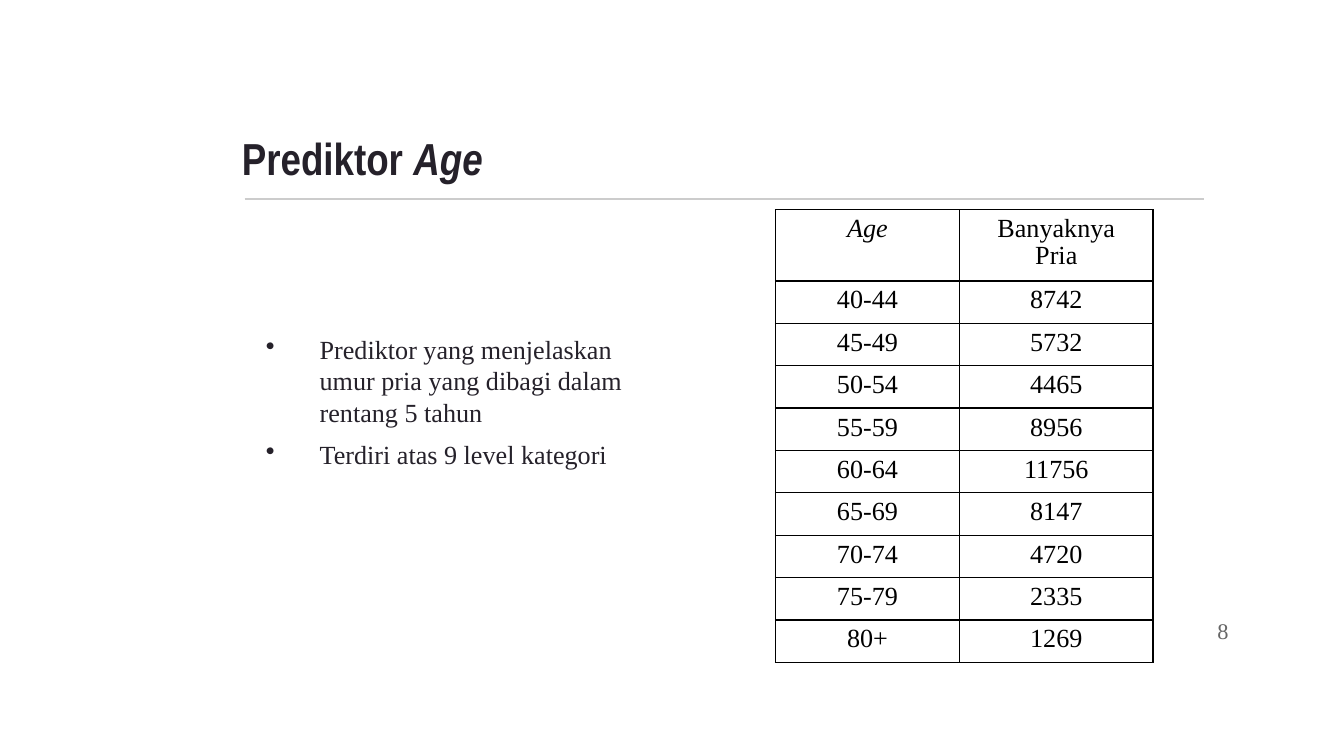
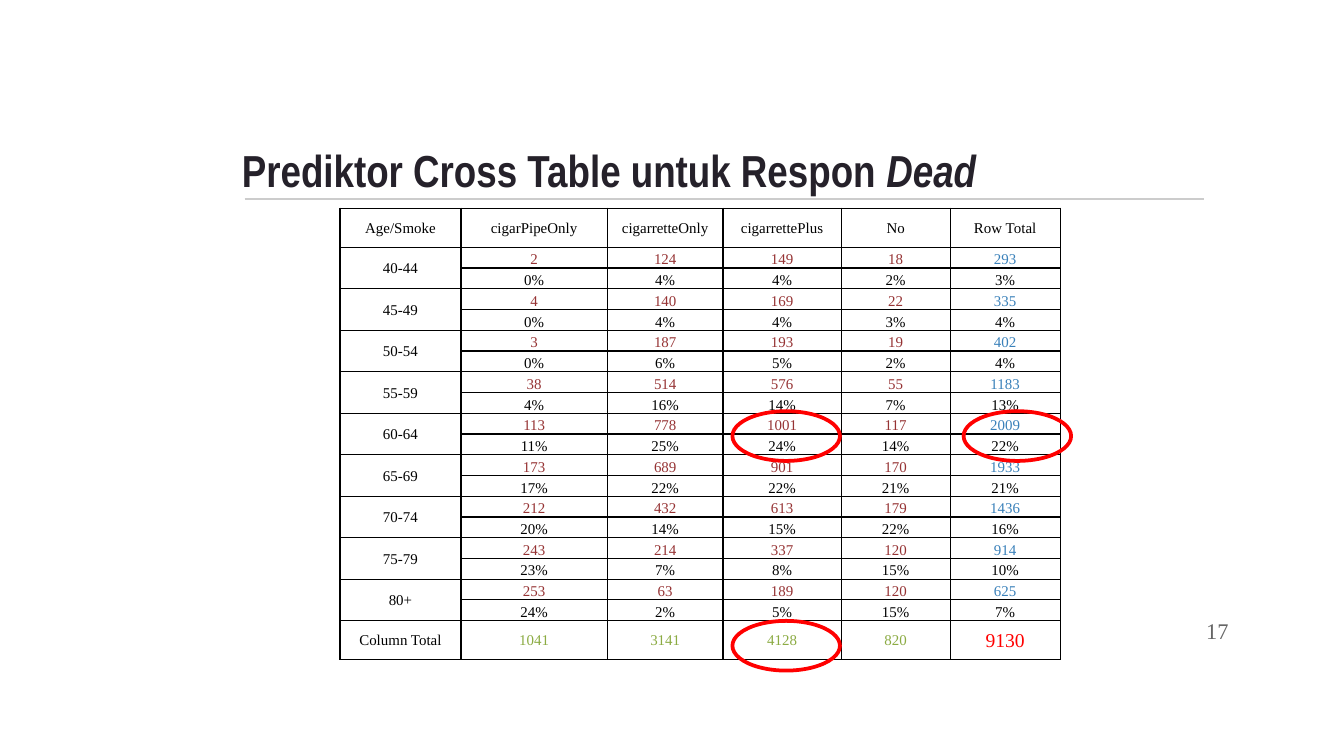
from lxml import etree
from pptx import Presentation
from pptx.dml.color import RGBColor as RGB
from pptx.enum.shapes import MSO_CONNECTOR as CONN, MSO_SHAPE as SHAPE
from pptx.enum.text import MSO_ANCHOR as ANCHOR, MSO_AUTO_SIZE as AUTO, PP_ALIGN as ALIGN
from pptx.oxml import parse_xml
from pptx.oxml.ns import nsdecls, qn
from pptx.util import Inches, Pt

COLORS = {
    "ink": "25212A", "rule": "CCCCCC", "number": "666666", "black": "000000",
    "count": "963334", "row_total": "3A81BA", "column_total": "8BAB42", "red": "FF0000",
}
HEAD_FONT, BODY_FONT = "Arial Narrow", "Times New Roman"


def write(tf, paragraphs, size=14, color="ink", font=BODY_FONT, bold=False,
          align=ALIGN.LEFT, bullet=False, space=0, line=None):
    """Fill a text frame; each paragraph is a list of (text, italic) runs."""
    tf.word_wrap = True
    for i, runs in enumerate(paragraphs):
        p = tf.paragraphs[0] if i == 0 else tf.add_paragraph()
        p.alignment = align
        p.space_before = Pt(space if i else 0)
        if line:
            p.line_spacing = line
        if bullet:
            pPr = p._p.get_or_add_pPr()
            pPr.set("marL", str(Inches(0.5)))
            pPr.set("indent", str(Inches(-0.4)))
            clr = etree.SubElement(pPr, qn("a:buClr"))
            etree.SubElement(clr, qn("a:srgbClr"), val=COLORS[color])
            etree.SubElement(pPr, qn("a:buChar"), char="•")
        for text, italic in runs:
            r = p.add_run()
            r.text = text
            r.font.name, r.font.size = font, Pt(size)
            r.font.bold, r.font.italic = bold, italic
            r.font.color.rgb = RGB.from_string(COLORS[color])


def add_grid(s, left, top, widths, heights):
    """Add an unfilled table with thin black borders."""
    frame = s.shapes.add_table(len(heights), len(widths), Inches(left), Inches(top),
                               Inches(sum(widths)), Inches(sum(heights)))
    table = frame.table
    table.first_row = table.horz_banding = False
    for col, width in zip(table.columns, widths):
        col.width = Inches(width)
    for row, height in zip(table.rows, heights):
        row.height = Inches(height)
    for cell in table.iter_cells():
        tcPr = cell._tc.get_or_add_tcPr()
        for side in ("lnL", "lnR", "lnT", "lnB"):
            tcPr.append(parse_xml(
                f'<a:{side} {nsdecls("a")} w="{Pt(0.75)}"><a:solidFill>'
                f'<a:srgbClr val="{COLORS["black"]}"/></a:solidFill></a:{side}>'))
        cell.fill.background()
    return table


# Widescreen page, 16:9
prs = Presentation()
prs.slide_width = Inches(10)
prs.slide_height = prs.slide_width * 9 // 16

# Shared frame: title, rule and slide number
pages = [
    ("Prediktor ", "Age", 0.68, "8"),
    ("Prediktor Cross Table untuk Respon ", "Dead", 0.77, "17"),
]
slides = []
for title, emphasis, height, number in pages:
    s = prs.slides.add_slide(prs.slide_layouts[5])
    slides.append(s)
    rule = s.shapes.add_connector(CONN.STRAIGHT, Inches(1.82), Inches(1.48),
                                  Inches(8.96), Inches(1.48))
    rule.line.color.rgb = RGB.from_string(COLORS["rule"])
    rule.line.width = Pt(0.75)
    etree.SubElement(rule._element.spPr, qn("a:effectLst"))

    head = s.shapes.title
    head.left, head.top = Inches(1.7), Inches(0.79)
    head.width, head.height = Inches(7.24), Inches(height)
    num = s.shapes.add_textbox(Inches(8.64), Inches(4.48), Inches(0.6), Inches(0.43))
    for sp, anchor in ((head, ANCHOR.BOTTOM), (num, ANCHOR.MIDDLE)):
        tf = sp.text_frame
        tf.auto_size, tf.vertical_anchor = AUTO.NONE, anchor
        tf.margin_left = tf.margin_right = tf.margin_top = tf.margin_bottom = Inches(0.1)
    write(head.text_frame, [[(title, False), (emphasis, True)]],
          size=24, font=HEAD_FONT, bold=True)
    write(num.text_frame, [[(number, False)]], size=12, color="number", align=ALIGN.RIGHT)

age_slide, cross_slide = slides
ages = [f"{start}-{start + 4}" for start in range(40, 80, 5)] + ["80+"]

# Age slide: bullets
body = age_slide.shapes.add_textbox(Inches(1.78), Inches(2.38), Inches(3.21), Inches(1.38))
tf = body.text_frame
tf.margin_left = tf.margin_right = tf.margin_top = tf.margin_bottom = Inches(0.1)
write(tf, [[("Prediktor yang menjelaskan umur pria yang dibagi dalam rentang 5 tahun", False)],
           [("Terdiri atas 9 level kategori", False)]],
      bullet=True, space=6)

# Age slide: number of men by age
men = [8742, 5732, 4465, 8956, 11756, 8147, 4720, 2335, 1269]
rows = [("Age", "Banyaknya Pria")] + list(zip(ages, men))
table = add_grid(age_slide, 5.77, 1.56, [1.37, 1.44], [0.24] * len(rows))
for i, row in enumerate(rows):
    for j, value in enumerate(row):
        cell = table.cell(i, j)
        cell.margin_left = cell.margin_right = Inches(0.11)
        write(cell.text_frame, [[(str(value), i == j == 0)]],
              color="black", align=ALIGN.CENTER, line=0.92)

# Cross table: deaths by age and smoking habit, totals and shares are worked out
headers = ["Age/Smoke", "cigarPipeOnly", "cigarretteOnly", "cigarrettePlus", "No", "Row Total"]
deaths = [
    (2, 124, 149, 18), (4, 140, 169, 22), (3, 187, 193, 19),
    (38, 514, 576, 55), (113, 778, 1001, 117), (173, 689, 901, 170),
    (212, 432, 613, 179), (243, 214, 337, 120), (253, 63, 189, 120),
]
counts = [row + (sum(row),) for row in deaths]
totals = [sum(col) for col in zip(*counts)]

rows = [headers]
for age, row in zip(ages, counts):
    rows.append([age, *row])
    rows.append([""] + [f"{n / total:.0%}" for n, total in zip(row, totals)])
rows.append(["Column Total", *totals])

last_row, last_col = len(rows) - 1, len(headers) - 1
end_height = 0.29
inner_height = (3.36 - 2 * end_height) / (len(rows) - 2)
table = add_grid(cross_slide, 2.53, 1.55, [0.9, 1.09, 0.86, 0.88, 0.81, 0.82],
                 [end_height] + [inner_height] * (len(rows) - 2) + [end_height])
for i in range(1, last_row, 2):
    table.cell(i, 0).merge(table.cell(i + 1, 0))

for i, row in enumerate(rows):
    for j, value in enumerate(row):
        color, size = "black", 8
        if j and i == last_row:
            color, size = ("red", 10.5) if j == last_col else ("column_total", 8)
        elif j and i % 2:
            color = "row_total" if j == last_col else "count"
        cell = table.cell(i, j)
        cell.margin_left = cell.margin_right = cell.margin_top = Inches(0.01)
        cell.margin_bottom = 0
        edge = j == 0 or i in (0, last_row)
        cell.vertical_anchor = ANCHOR.MIDDLE if edge else ANCHOR.BOTTOM
        write(cell.text_frame, [[(str(value), False)]], size=size, color=color,
              align=ALIGN.CENTER)

# Cross table: rings around the highest values
for left, top in ((7.17, 3.06), (5.45, 4.62), (5.45, 3.06)):
    ring = cross_slide.shapes.add_shape(SHAPE.OVAL, Inches(left), Inches(top),
                                        Inches(0.8), Inches(0.37))
    ring.shadow.inherit = False
    ring.fill.background()
    ring.line.color.rgb = RGB.from_string(COLORS["red"])
    ring.line.width = Pt(2)

prs.save("out.pptx")
